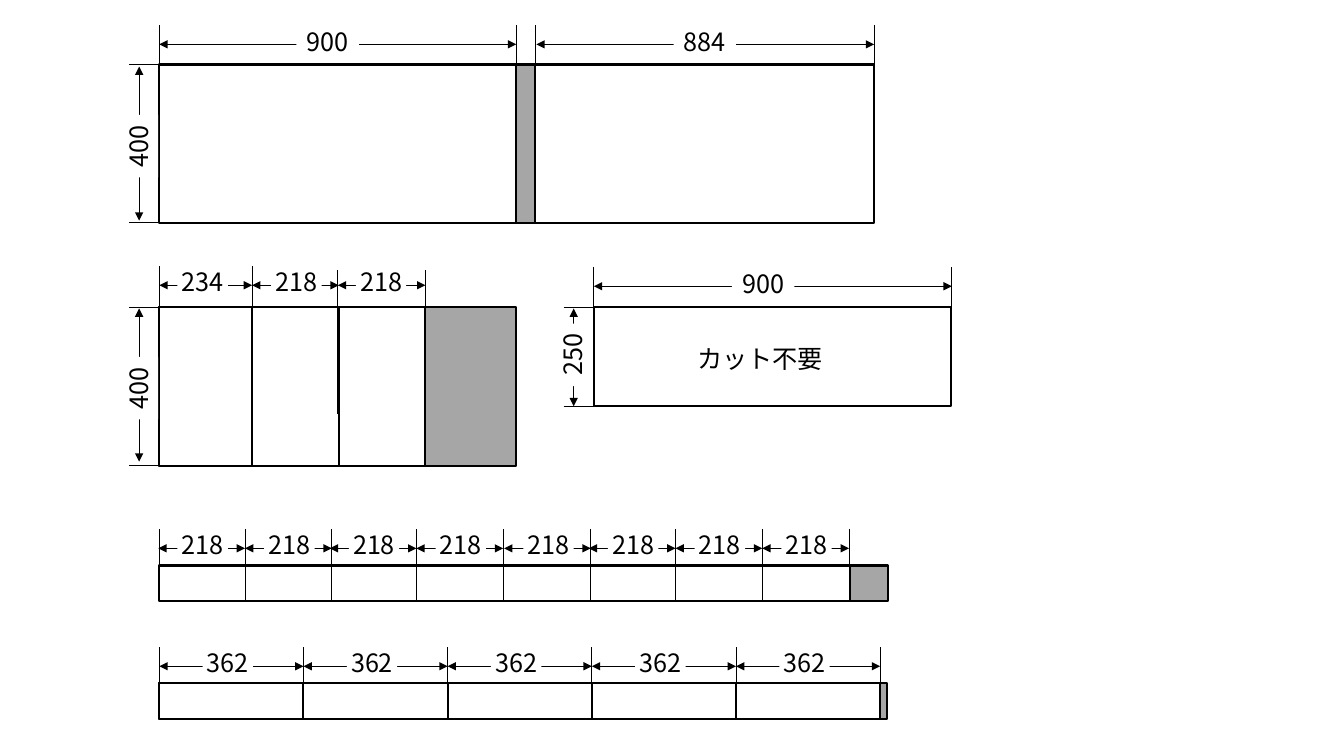
from lxml.etree import SubElement
from pptx import Presentation
from pptx.dml.color import RGBColor
from pptx.enum.shapes import MSO_CONNECTOR, MSO_SHAPE
from pptx.enum.text import MSO_ANCHOR, MSO_AUTO_SIZE, PP_ALIGN
from pptx.oxml.ns import qn
from pptx.util import Inches, Pt

BLACK = RGBColor(0x00, 0x00, 0x00)
WHITE = RGBColor(0xFF, 0xFF, 0xFF)
GRAY = RGBColor(0xA6, 0xA6, 0xA6)
FONT = "Noto Sans CJK JP"

prs = Presentation()
prs.slide_width, prs.slide_height = Inches(13.33), Inches(7.5)
s = prs.slides.add_slide(prs.slide_layouts[6])
COL = prs.slide_width / 1333
ROW = prs.slide_height / 750


def box(text, x, y, w, h, fill=WHITE, border=None, inset=10, rotation=0):
    sp = s.shapes.add_shape(MSO_SHAPE.RECTANGLE, round(x * COL), round(y * ROW),
                            round(w * COL), round(h * ROW))
    sp.shadow.inherit = False
    sp.rotation = rotation
    if fill is None:
        sp.fill.background()
    else:
        sp.fill.solid()
        sp.fill.fore_color.rgb = fill
    if border is None:
        sp.line.fill.background()
    else:
        sp.line.color.rgb = border
        sp.line.width = Pt(1.5)
    if text:
        tf = sp.text_frame
        tf.word_wrap = False
        tf.auto_size = MSO_AUTO_SIZE.SHAPE_TO_FIT_TEXT
        tf.vertical_anchor = MSO_ANCHOR.MIDDLE
        tf.margin_left = tf.margin_right = round(inset * COL)
        tf.margin_top = tf.margin_bottom = round(min(inset, 5) * ROW)
        p = tf.paragraphs[0]
        p.alignment = PP_ALIGN.CENTER
        r = p.add_run()
        r.text = text
        r.font.name, r.font.size = FONT, Pt(18)
        r.font.color.rgb = BLACK
        SubElement(r.font._element, qn("a:ea"), typeface=FONT)


def line(x1, y1, x2, y2, arrows=False):
    c = s.shapes.add_connector(MSO_CONNECTOR.STRAIGHT, round(x1 * COL), round(y1 * ROW),
                               round(x2 * COL), round(y2 * ROW))
    c.line.color.rgb = BLACK
    c.line.width = Pt(0.5)
    if arrows:
        for end in ("a:headEnd", "a:tailEnd"):
            SubElement(c.line._get_or_add_ln(), qn(end), type="triangle")
    SubElement(c._element.spPr, qn("a:effectLst"))


LEFT = 158
strip_cuts = [LEFT, 243, 329, 413, 499, 586, 670, 756, 842]
bar_cuts = [LEFT + 143 * i for i in range(6)]

panels = [
    (493, 64, 39, 157, GRAY), (LEFT, 64, 354, 157, WHITE), (531, 64, 336, 157, WHITE),
    (LEFT, 305, 354, 157, GRAY), (LEFT, 305, 92, 157, WHITE),
    (250, 305, 86, 157, WHITE), (336, 305, 86, 157, WHITE),
    (589, 305, 354, 98, WHITE),
    (LEFT, 561, 717, 35, WHITE), (843, 561, 38, 35, GRAY),
    (LEFT, 678, 722, 35, GRAY),
]
panels += [(x, 678, 143, 35, WHITE) for x in bar_cuts[:-1]]
for x, y, w, h, fill in panels:
    box("", x, y, w, h, fill=fill, border=BLACK)

cut_lines = [
    ([LEFT, 512, 531, 867], 25, 167),
    ([LEFT, 250], 264, 407),
    ([335, 422], 268, 411),
    ([589, 944], 265, 354),
    (strip_cuts, 525, 596),
    (bar_cuts, 642, 713),
]
for xs, top, bottom in cut_lines:
    for x in xs:
        line(x, top, x, bottom)
for x, y in [(128, 64), (128, 221), (128, 305), (128, 462), (559, 305), (559, 403)]:
    line(x, y, x + 143 if x == 128 else 589, y)

wide_widths = [
    ("900", LEFT, 512, 44, 325), ("884", 532, 867, 44, 699), ("900", 589, 944, 284, 757),
]
for text, x1, x2, y, center in wide_widths:
    line(x1, y, x2, y, arrows=True)
    box(text, center - 31, y - 22.5, 62, 40)

narrow_widths = [
    ("234", LEFT, 250, 283, 201), ("218", 250, 336, 283, 294), ("218", 335, 422, 283, 378),
]
narrow_widths += [("218", x - 86, x, 544, x - 42) for x in strip_cuts[1:]]
narrow_widths += [("362", x, x + 143, 661, x + 68) for x in bar_cuts[:-1]]
for text, x1, x2, y, center in narrow_widths:
    line(x1, y, x2, y, arrows=True)
    box(text, center - 25, y - 22.5, 50, 38, inset=4)

heights = [
    ("400", 138, 66, 219, 145), ("400", 138, 306, 458, 385), ("250", 569, 306, 403, 352),
]
for text, x, y1, y2, center in heights:
    line(x, y2, x, y1, arrows=True)
    box(text, x - 32, center - 20, 62, 40, rotation=270)

box("カット不要", 681, 336, 146, 40, fill=None)

prs.save("out.pptx")
